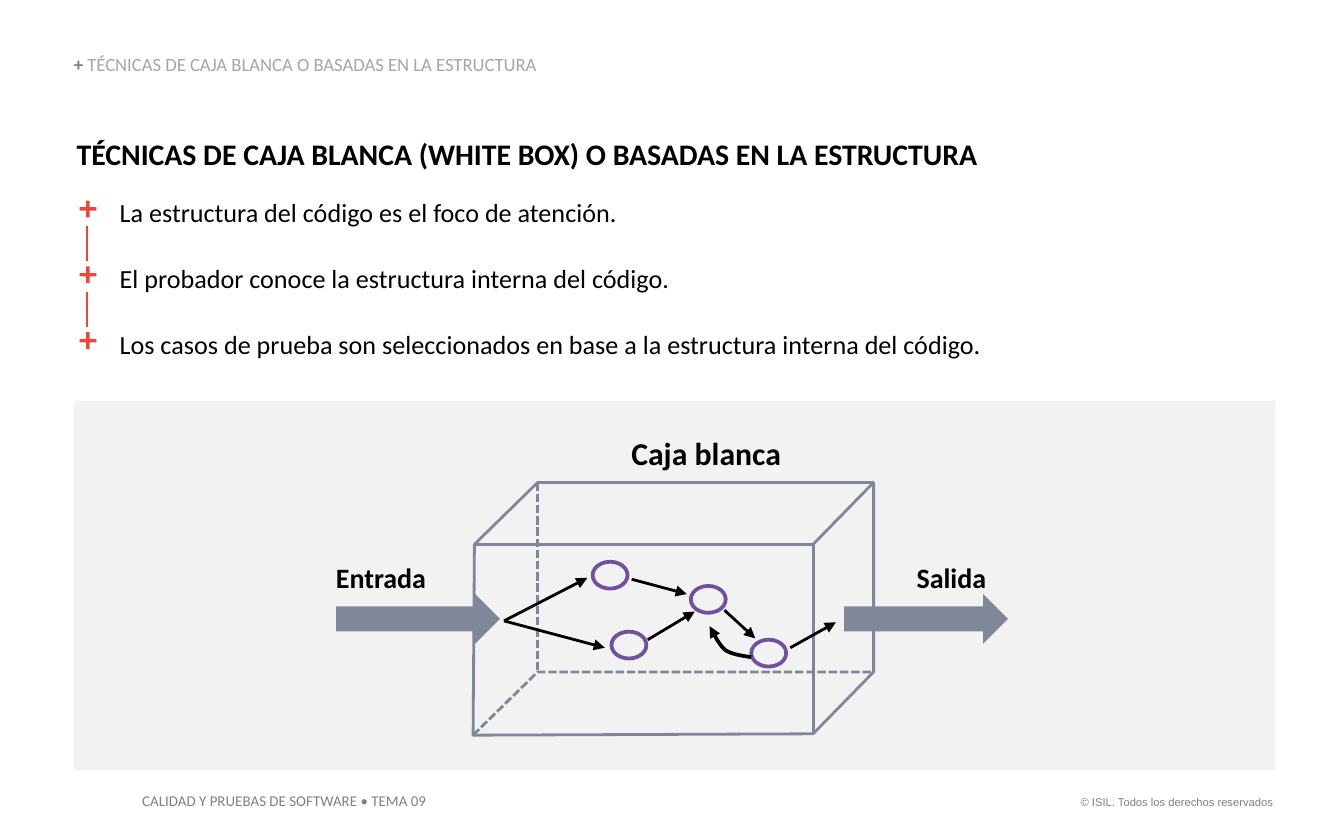
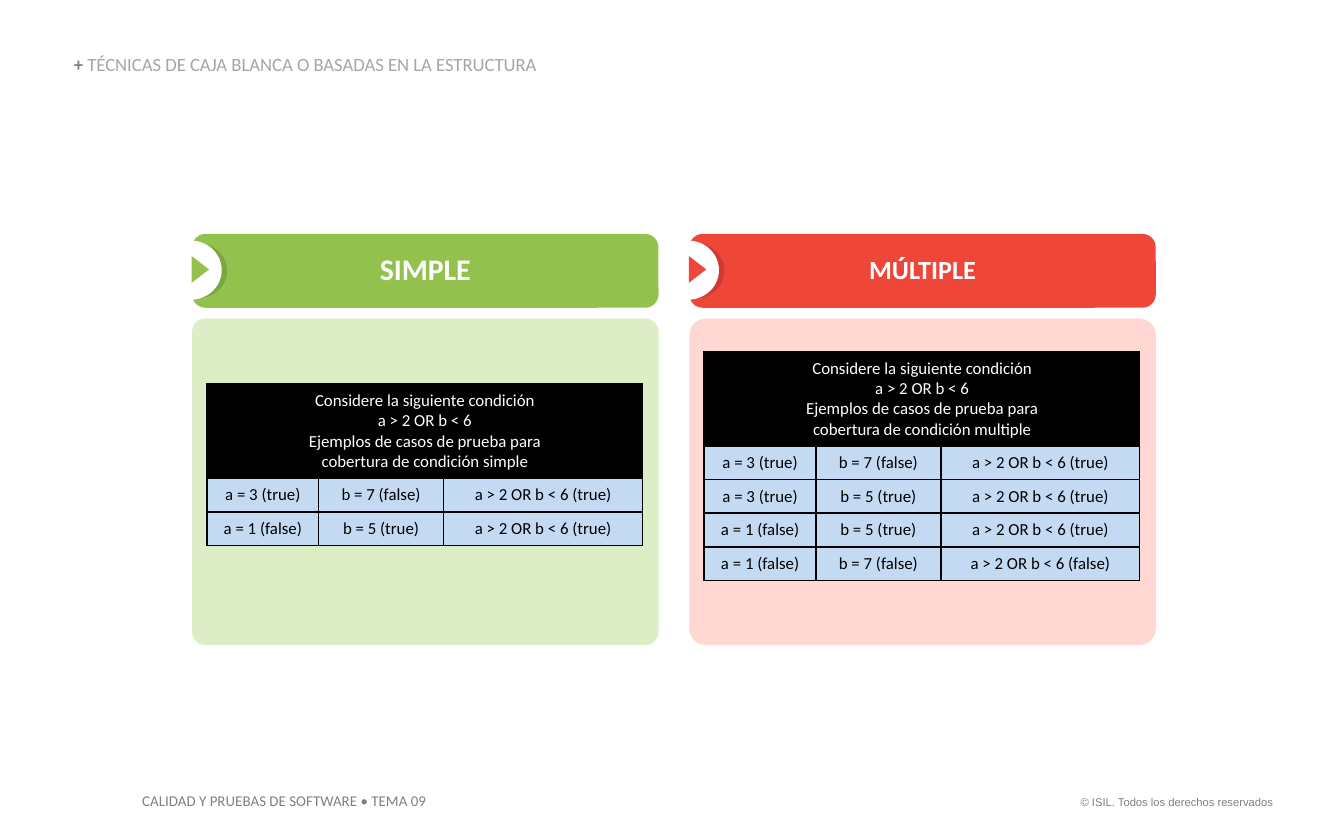
from dataclasses import dataclass
from itertools import product

from lxml.etree import SubElement
from pptx import Presentation
from pptx.dml.color import RGBColor as RGB
from pptx.enum.dml import MSO_LINE as DASH
from pptx.enum.shapes import MSO_CONNECTOR as CONN, MSO_SHAPE as SHAPE
from pptx.enum.text import MSO_ANCHOR as ANCHOR, MSO_AUTO_SIZE as AUTO, PP_ALIGN as ALIGN
from pptx.oxml.ns import qn
from pptx.util import Inches, Pt


@dataclass(frozen=True)
class Theme:
    font: str = "Calibri"
    legal_font: str = "Arial"
    # Colours
    black: str = "000000"
    white: str = "FFFFFF"
    gray: str = "808080"
    light_gray: str = "A6A6A6"
    panel: str = "F2F2F2"
    steel: str = "808799"
    purple: str = "7150A0"
    red: str = "EE4639"
    dark_red: str = "CE3A32"
    pale_red: str = "FFD8D4"
    green: str = "92C14E"
    dark_green: str = "7CA544"
    pale_green: str = "DDEEC7"
    cell: str = "C4D9F2"
    # Type sizes
    legal: int = 6
    footer: int = 8
    table: int = 9
    section: int = 10
    body: int = 14
    label: int = 15
    title: int = 16
    box_name: int = 17


T = Theme()


# Basic parts
def style(p, size, color=T.black, bold=False, align=ALIGN.LEFT, font=T.font):
    p.alignment = align
    p.font.name, p.font.size, p.font.bold = font, Pt(size), bold
    p.font.color.rgb = RGB.from_string(color)


def add_text(shapes, box, text, size, color=T.black, bold=False,
             align=ALIGN.LEFT, font=T.font, inset=False):
    """Inset boxes keep their margins and stay on one line."""
    sp = shapes.add_textbox(*map(Inches, box))
    tf = sp.text_frame
    tf.word_wrap = not inset
    tf.auto_size = AUTO.SHAPE_TO_FIT_TEXT
    if not inset:
        tf.margin_left = tf.margin_top = tf.margin_right = tf.margin_bottom = 0
    p = tf.paragraphs[0]
    p.text = text
    style(p, size, color, bold, align, font)
    return tf


def add_shape(shapes, kind, box, fill, line=None, width=0, adj=None):
    sp = shapes.add_shape(kind, *map(Inches, box))
    sp.shadow.inherit = False
    sp.fill.solid()
    sp.fill.fore_color.rgb = RGB.from_string(fill)
    if line:
        set_line(sp, line, width)
    else:
        sp.line.fill.background()
    if adj is not None:
        sp.adjustments[0] = adj
    return sp


def set_line(sp, color, width, dashed=False, arrow=False):
    sp.line.color.rgb = RGB.from_string(color)
    sp.line.width = Pt(width)
    if dashed:
        sp.line.dash_style = DASH.SQUARE_DOT
    if arrow:
        ln = sp._element.spPr.find(qn("a:ln"))
        SubElement(ln, qn("a:tailEnd"), type="triangle")


def add_line(shapes, start, end, color, width, **ends):
    cxn = shapes.add_connector(CONN.STRAIGHT, *map(Inches, start + end))
    set_line(cxn, color, width, **ends)
    SubElement(cxn._element.spPr, qn("a:effectLst"))


def add_outline(shapes, points, color, width, close=False, **ends):
    points = [(Inches(x), Inches(y)) for x, y in points]
    fb = shapes.build_freeform(*points[0], scale=1.0)
    fb.add_line_segments(points[1:], close=close)
    sp = fb.convert_to_shape()
    sp.shadow.inherit = False
    sp.fill.background()
    set_line(sp, color, width, **ends)


def curve(a, b, c, d, steps=8):
    """Points along a cubic curve."""
    for t in (i / steps for i in range(steps + 1)):
        u = 1 - t
        yield tuple(u**3 * a[k] + 3 * u * u * t * b[k] + 3 * u * t * t * c[k] + t**3 * d[k]
                    for k in (0, 1))


# Section heading and footers on every slide
def new_slide(prs):
    s = prs.slides.add_slide(prs.slide_layouts[6])
    add_text(s.shapes, (7.88, 5.87, 1.69, 0.2), "© ISIL. Todos los derechos reservados",
             T.legal, T.gray, align=ALIGN.RIGHT, font=T.legal_font, inset=True)
    add_text(s.shapes, (0.96, 5.84, 2.37, 0.24), "CALIDAD Y PRUEBAS DE SOFTWARE • TEMA 09",
             T.footer, T.gray, inset=True)
    tf = add_text(s.shapes, (0.55, 0.41, 3.61, 0.15), "+ ", T.section, T.gray, bold=True)
    tf.vertical_anchor = ANCHOR.BOTTOM
    p = tf.paragraphs[0]
    p.line_spacing = 0.9
    r = p.add_run()
    r.text = "TÉCNICAS DE CAJA BLANCA O BASADAS EN LA ESTRUCTURA"
    r.font.bold = False
    r.font.color.rgb = RGB.from_string(T.light_gray)
    return s


# Plus-marked points joined by short lines
def add_points(shapes, left, top, points, pitch=0.49):
    for i, (text, width) in enumerate(points):
        y = top + i * pitch
        add_text(shapes, (left + 0.32, y, width, 0.24), text, T.body)
        add_shape(shapes, SHAPE.MATH_PLUS, (left, y + 0.01, 0.17, 0.17), T.red, adj=0.15)
        if i < len(points) - 1:
            add_line(shapes, (left + 0.08, y + 0.22), (left + 0.08, y + 0.48), T.red, 1)


# White box diagram on its panel
def add_diagram(s, left, top, width, height):
    add_shape(s.shapes, SHAPE.RECTANGLE, (left, top, width, height), T.panel)
    shapes = s.shapes.add_group_shape().shapes

    def at(x, y):
        return left + x, top + y

    # Box edges
    front, back, far = at(2.98, 1.07), at(3.45, 0.61), at(5.95, 0.61)
    near_corner, floor_corner = at(5.5, 1.07), at(3.45, 2.02)
    near_foot, far_foot, left_foot = at(5.5, 2.48), at(5.95, 2.02), at(2.97, 2.49)
    add_outline(shapes, [front, back, far, far_foot, near_foot, left_foot],
                T.steel, 1.5, close=True)
    add_outline(shapes, [front, near_corner, near_foot], T.steel, 1.5)
    add_outline(shapes, [left_foot, floor_corner, far_foot], T.steel, 1.5, dashed=True)
    add_line(shapes, back, floor_corner, T.steel, 1.5, dashed=True)
    add_line(shapes, near_corner, far, T.steel, 1.5)

    # Input and output arrows
    for x in (1.95, 5.73):
        add_shape(shapes, SHAPE.RIGHT_ARROW, (*at(x, 1.44), 1.22, 0.37), T.steel)

    # Nodes and the flow between them
    for x, y in [(3.86, 1.2), (4.59, 1.38), (4, 1.72), (5.04, 1.78)]:
        add_shape(shapes, SHAPE.OVAL, (*at(x, y), 0.26, 0.2), T.panel, T.purple, 2)
    entry = (3.2, 1.64)
    for start, end in [(entry, (3.82, 1.32)), (entry, (3.95, 1.84)),
                       ((4.27, 1.78), (4.62, 1.57)), ((4.15, 1.33), (4.56, 1.44)),
                       ((4.84, 1.56), (5.07, 1.77)), ((5.33, 1.84), (5.67, 1.65))]:
        add_line(shapes, at(*start), at(*end), T.black, 1.5, arrow=True)
    loop = [*curve((5.04, 1.91), (4.97, 1.9), (4.9, 1.89), (4.85, 1.86)),
            *curve((4.85, 1.86), (4.8, 1.82), (4.77, 1.75), (4.73, 1.68))]
    add_outline(shapes, [at(*point) for point in loop], T.black, 2, arrow=True)

    # Labels
    add_text(shapes, (*at(1.95, 1.19), 0.94, 0.25), "Entrada", T.label, bold=True)
    add_text(shapes, (*at(6.27, 1.19), 0.65, 0.25), "Salida", T.label, bold=True)
    add_text(shapes, (*at(3.45, 0.25), 2.51, 0.29), "Caja blanca", T.box_name,
             bold=True, align=ALIGN.CENTER)


# Table of test cases, centred on a height
def set_cell(cell, lines, fill, color):
    cell.text = "\n".join(lines)
    cell.vertical_anchor = ANCHOR.MIDDLE
    cell.fill.solid()
    cell.fill.fore_color.rgb = RGB.from_string(fill)
    for p in cell.text_frame.paragraphs:
        style(p, T.table, color, align=ALIGN.CENTER)


def set_borders(cell):
    tc_pr = cell._tc.get_or_add_tcPr()
    for i, side in enumerate("LRTB"):
        ln = SubElement(tc_pr, qn(f"a:ln{side}"), w=str(Pt(1)))
        SubElement(SubElement(ln, qn("a:solidFill")), qn("a:srgbClr"), val=T.black)
        tc_pr.insert(i, ln)


def add_cases(shapes, left, middle, kind, cases):
    widths, head, row = (0.83, 0.93, 1.48), 0.69, 0.24
    height = head + row * len(cases)
    table = shapes.add_table(len(cases) + 1, len(widths), Inches(left),
                             Inches(middle - height / 2), Inches(sum(widths)),
                             Inches(height)).table
    table.first_row = table.horz_banding = False
    for col, w in zip(table.columns, widths):
        col.width = Inches(w)
    for i, table_row in enumerate(table.rows):
        table_row.height = Inches(row if i else head)
    table.cell(0, 0).merge(table.cell(0, len(widths) - 1))
    set_cell(table.cell(0, 0),
             ["Considere la siguiente condición", "a > 2 OR b < 6",
              "Ejemplos de casos de prueba para", f"cobertura de condición {kind}"],
             T.black, T.white)
    for i, (a, b) in enumerate(cases, 1):
        result = str(a > 2 or b < 6).lower()
        values = (f"a = {a} ({str(a > 2).lower()})", f"b = {b} ({str(b < 6).lower()})",
                  f"a > 2 OR b < 6 ({result})")
        for j, value in enumerate(values):
            set_cell(table.cell(i, j), [value], T.cell, T.black)
    for i, j in product(range(len(cases) + 1), range(len(widths))):
        set_borders(table.cell(i, j))


# Card: header with a round marker, and a body holding a table
def add_card(s, left, top, name, size, colors, body_adj, kind, cases):
    main, dark, pale = colors
    shapes = s.shapes.add_group_shape().shapes
    header = add_shape(shapes, SHAPE.ROUNDED_RECTANGLE, (left, top, 3.47, 0.55), main, adj=0.18)
    tf = header.text_frame
    tf.word_wrap = True
    tf.vertical_anchor = ANCHOR.MIDDLE
    p = tf.paragraphs[0]
    p.text = name
    p.line_spacing = 0.9
    style(p, size, T.white, bold=True, align=ALIGN.CENTER)
    add_shape(shapes, SHAPE.ROUNDED_RECTANGLE, (left, top + 0.63, 3.47, 2.43), pale, adj=body_adj)
    add_shape(shapes, SHAPE.OVAL, (left - 0.17, top + 0.07, 0.43, 0.41), dark)
    add_shape(shapes, SHAPE.OVAL, (left - 0.24, top + 0.05, 0.46, 0.44), T.white)
    marker = add_shape(shapes, SHAPE.ISOSCELES_TRIANGLE,
                       (left - 0.04, top + 0.2, 0.2, 0.13), main)
    marker.rotation = 90
    add_cases(s.shapes, left + 0.11, top + 1.7, kind, cases)


# Slides
def white_box_slide(prs):
    s = new_slide(prs)
    add_text(s.shapes, (0.57, 1.01, 8.9, 0.35),
             "TÉCNICAS DE CAJA BLANCA (WHITE BOX) O BASADAS EN LA ESTRUCTURA",
             T.title, bold=True)
    add_diagram(s, 0.55, 2.98, 8.94, 2.75)
    add_points(s.shapes, 0.57, 1.46, [
        ("La estructura del código es el foco de atención.", 4.58),
        ("El probador conoce la estructura interna del código.", 4.58),
        ("Los casos de prueba son seleccionados en base a la estructura interna del código.", 7.06),
    ])


def conditions_slide(prs):
    s = new_slide(prs)
    add_card(s, 5.13, 1.74, "MÚLTIPLE", T.body, (T.red, T.dark_red, T.pale_red), 0.05,
             "multiple", [(3, 7), (3, 5), (1, 5), (1, 7)])
    add_card(s, 1.43, 1.74, "SIMPLE", T.title, (T.green, T.dark_green, T.pale_green), 0.04,
             "simple", [(3, 7), (1, 5)])


def main():
    prs = Presentation()
    prs.slide_width, prs.slide_height = Inches(10), Inches(6.25)
    white_box_slide(prs)
    conditions_slide(prs)
    prs.save("out.pptx")


if __name__ == "__main__":
    main()
